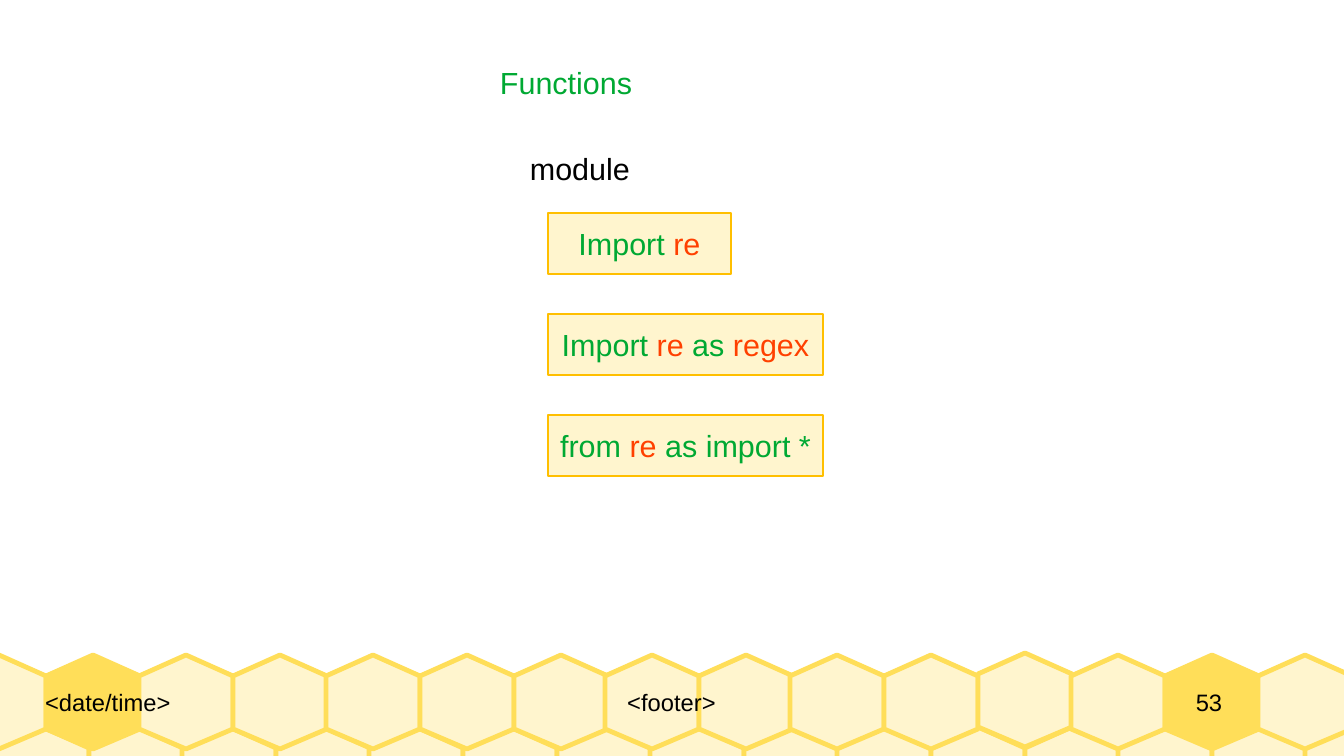
from pptx import Presentation
from pptx.dml.color import RGBColor
from pptx.enum.shapes import MSO_SHAPE
from pptx.enum.text import MSO_ANCHOR, PP_ALIGN
from pptx.util import Pt

PX = 7495  # EMU per px, 122 px to the inch
GREEN, RED, BLACK = "00A933", "FF4000", "000000"
CREAM, HONEY, AMBER = "FFF5CE", "FFDE59", "FFBF00"


def paint(shape, fill, line, width):
    shape.shadow.inherit = False
    shape.fill.solid()
    shape.fill.fore_color.rgb = RGBColor.from_string(fill)
    shape.line.color.rgb = RGBColor.from_string(line)
    shape.line.width = Pt(width)


def write(box, spans, size, align, anchor, wrap):
    """Fill the box with one paragraph of (text, colour) spans."""
    frame = box.text_frame
    frame.word_wrap = wrap
    frame.vertical_anchor = anchor
    para = frame.paragraphs[0]
    para.alignment = align
    para.font.size = Pt(size)
    para.font.name = "Arial"
    for text, color in spans:
        span = para.add_run()
        span.text = text
        span.font.color.rgb = RGBColor.from_string(color)


deck = Presentation()
deck.slide_width = 1344 * PX
deck.slide_height = 756 * PX
page = deck.slides.add_slide(deck.slide_layouts[6])

# Honeycomb: the lower row first, then the upper row with two filled cells
PITCH = 93.6
cells = [(round(-5 + PITCH * col), 727, CREAM) for col in range(15)]
for col in range(15):
    overlap = 2 * ((col >= 7) + (col >= 9))
    top = 653 if col == 11 else 655
    cells.append((round(-48 + PITCH * col) - overlap, top, HONEY if col in (1, 13) else CREAM))

for left, top, fill in cells:
    outline = page.shapes.build_freeform(left + 47, top, scale=PX)
    corners = [(0, 21), (0, 74), (47, 94), (94, 74), (94, 21)]
    outline.add_line_segments([(left + x, top + y) for x, y in corners], close=True)
    paint(outline.convert_to_shape(), fill, HONEY, 2.83)

# Footer
for text, left, width, align in [
    ("<date/time>", 45, 321, PP_ALIGN.LEFT),
    ("<footer>", 366, 611, PP_ALIGN.CENTER),
    ("53", 1133, 152, PP_ALIGN.CENTER),
]:
    box = page.shapes.add_textbox(left * PX, 655 * PX, width * PX, 94 * PX)
    frame = box.text_frame
    frame.margin_left = frame.margin_right = frame.margin_top = frame.margin_bottom = 0
    write(box, [(text, BLACK)], 14, align, MSO_ANCHOR.MIDDLE, True)

# Headings
for text, color, left, top, width in [
    ("Functions", GREEN, 488, 58, 164),
    ("module", BLACK, 518, 144, 132),
]:
    box = page.shapes.add_textbox(left * PX, top * PX, width * PX, 46 * PX)
    write(box, [(text, color)], 18, PP_ALIGN.LEFT, MSO_ANCHOR.TOP, True)

# Import statements
statements = [
    (183, [("Import ", GREEN), ("re", RED)]),
    (275, [("Import ", GREEN), ("re ", RED), ("as", GREEN), (" regex", RED)]),
    (275, [("from ", GREEN), ("re ", RED), ("as import *", GREEN)]),
]
for row, (width, spans) in enumerate(statements):
    box = page.shapes.add_shape(
        MSO_SHAPE.RECTANGLE, 548 * PX, (213 + 101 * row) * PX, width * PX, 61 * PX
    )
    paint(box, CREAM, AMBER, 1.42)
    write(box, spans, 18, PP_ALIGN.CENTER, MSO_ANCHOR.MIDDLE, False)

deck.save("out.pptx")
